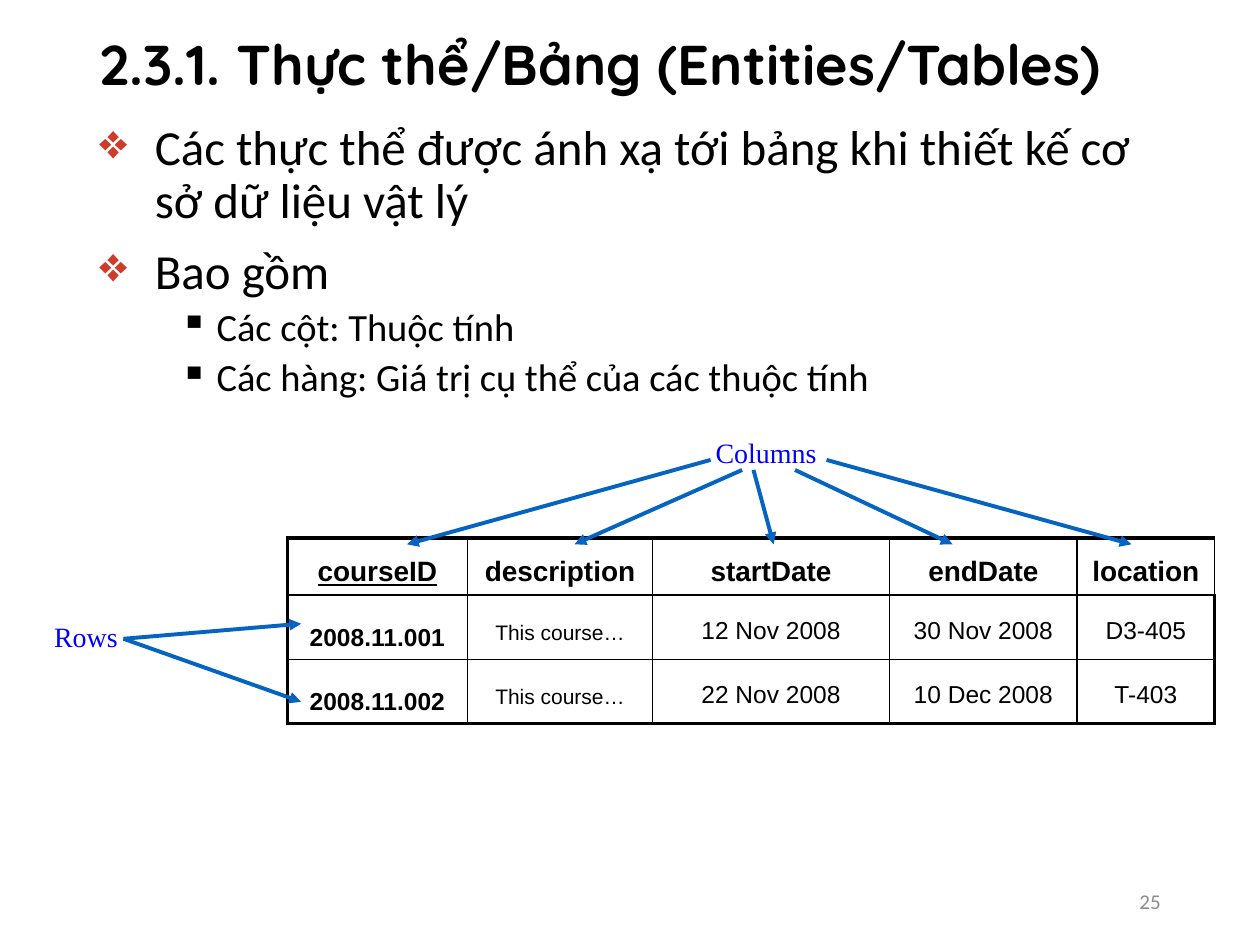
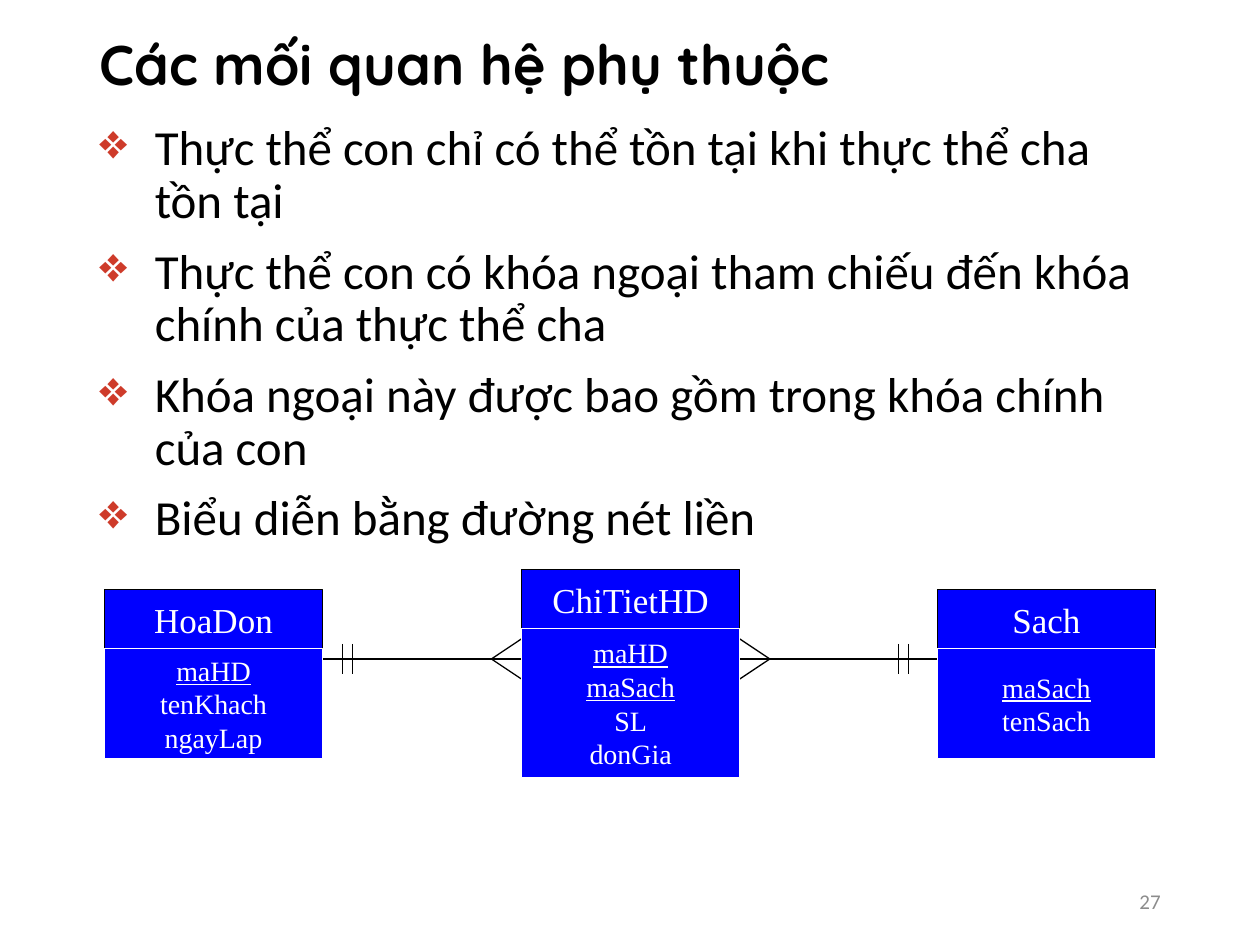
from dataclasses import dataclass, replace
from typing import NamedTuple, Optional, Sequence

from lxml.etree import SubElement
from pptx import Presentation
from pptx.dml.color import RGBColor
from pptx.enum.shapes import MSO_CONNECTOR, MSO_SHAPE
from pptx.enum.text import MSO_ANCHOR, PP_ALIGN
from pptx.oxml import parse_xml
from pptx.oxml.ns import nsdecls, qn
from pptx.util import Inches, Length, Pt

# The slide is a grid of 100 columns and 75 rows, each a tenth of an inch.
WIDTH, HEIGHT = Inches(10), Inches(7.5)
COLUMNS, ROWS = 100, 75

COLORS = {
    "text": "000000",
    "bullet": "CE3B2A",
    "page number": "8C8C8C",
    "label": "0000FF",
    "arrow": "0563C1",
    "entity": "0000FF",
    "entity text": "FFFFFF",
    "line": "000000",
}
THIN, THICK = 1, 2.25
ENTITY_LINE = 0.75


def across(columns: float) -> Length:
    return Length(round(WIDTH * columns / COLUMNS))


def down(rows: float) -> Length:
    return Length(round(HEIGHT * rows / ROWS))


class Area(NamedTuple):
    column: float
    row: float
    columns: float
    rows: float

    def lengths(self) -> tuple[Length, Length, Length, Length]:
        return across(self.column), down(self.row), across(self.columns), down(self.rows)


class Point(NamedTuple):
    column: float
    row: float


@dataclass(frozen=True)
class Bullet:
    symbol: str
    color: str
    margin: float
    hang: float


@dataclass(frozen=True)
class Style:
    font: str
    size: float
    color: str = "text"
    bold: bool = False
    underline: bool = False
    align: PP_ALIGN = PP_ALIGN.LEFT
    line_spacing: Optional[float | Length] = None
    space_before: float = 0
    bullet: Optional[Bullet] = None


class Line(NamedTuple):
    text: str
    style: Style


@dataclass(frozen=True)
class Entity:
    name: str
    column: float
    row: float
    body_rows: float
    keys: Sequence[str]
    attributes: Sequence[str]

    @property
    def right(self) -> float:
        return self.column + ENTITY_COLUMNS


@dataclass(frozen=True)
class Relationship:
    parent_edge: float
    child_edge: float
    bars: Sequence[float]


TITLE = Style("Quicksand", 32, bold=True, line_spacing=0.9)
POINT = Style("Calibri", 28, line_spacing=0.9, space_before=10,
              bullet=Bullet("❖", "bullet", 4.4, 4.4))
SUBPOINT = replace(POINT, size=22, space_before=5, bullet=Bullet("▪", "text", 9.3, 2.9))
PAGE_NUMBER = Style("Calibri", 12, "page number", align=PP_ALIGN.RIGHT)
LABEL = Style("Times New Roman", 16, "label")
CELL = Style("Arial", 14, align=PP_ALIGN.CENTER, line_spacing=Pt(24))
HEADER = replace(CELL, size=16, bold=True)
KEY_CELL = replace(CELL, bold=True, line_spacing=Pt(28))
NOTE_CELL = replace(CELL, size=12)
ATTRIBUTE = Style("Times New Roman", 16, "entity text", align=PP_ALIGN.CENTER)
ENTITY_NAME = replace(ATTRIBUTE, size=20)

TITLE_AREA = Area(6.9, 1.3, 86.2, 8.1)
BODY_AREA = Area(6.9, 9.3, 86.2, 56.6)
NUMBER_AREA = Area(70.6, 69.5, 22.5, 4)

COURSE_TABLE = Point(22.8, 42.7)
COURSE_COLUMNS = (14.3, 14.7, 18.8, 14.9, 10.9)
COURSE_ROWS = (4.5, 5.1, 5.1)
COURSES = (
    ("courseID", "description", "startDate", "endDate", "location"),
    ("2008.11.001", "This course…", "12 Nov 2008", "30 Nov 2008", "D3-405"),
    ("2008.11.002", "This course…", "22 Nov 2008", "10 Dec 2008", "T-403"),
)
COLUMN_ARROWS = (
    (Point(65.6, 36.5), 89.8),
    (Point(63.1, 37.3), 75.6),
    (Point(59.8, 37.3), 61.4),
    (Point(58.9, 37.3), 45.6),
    (Point(56.4, 36.5), 32.3),
)
COLUMN_ARROW_END = 43.2
ROW_ARROW_START = Point(9.8, 50.7)
ROW_ARROW_ENDS = (Point(23.9, 49.5), Point(23.9, 55.7))

ENTITY_COLUMNS, ENTITY_NAME_ROWS = 17.3, 4.7
INVOICE = Entity("HoaDon", 8.3, 46.8, 8.7, ["maHD"], ["tenKhach", "ngayLap"])
DETAIL = Entity("ChiTietHD", 41.4, 45.2, 11.8, ["maHD", "maSach"], ["SL", "donGia"])
BOOK = Entity("Sach", 74.4, 46.8, 8.7, ["maSach"], ["tenSach"])
RELATIONSHIPS = (
    Relationship(INVOICE.right, DETAIL.column, bars=(1.6, 2.4)),
    Relationship(BOOK.column, DETAIL.right, bars=(2.3, 3.1)),
)
LINK_ROW = 52.3
FOOT_COLUMNS, FOOT_ROWS = 2.4, 1.6
BAR_ROWS = 1.2


def color(name: str) -> RGBColor:
    return RGBColor.from_string(COLORS[name])


def add_bullet(para, bullet: Bullet) -> None:
    properties = para._p.get_or_add_pPr()
    properties.set("marL", str(across(bullet.margin)))
    properties.set("indent", str(-across(bullet.hang)))
    tint = SubElement(properties, qn("a:buClr"))
    SubElement(tint, qn("a:srgbClr"), val=COLORS[bullet.color])
    SubElement(properties, qn("a:buChar"), char=bullet.symbol)


def write(frame, lines: Sequence[Line]) -> None:
    for index, (text, style) in enumerate(lines):
        para = frame.add_paragraph() if index else frame.paragraphs[0]
        para.text = text
        para.alignment = style.align
        if style.line_spacing:
            para.line_spacing = style.line_spacing
        if index:
            para.space_before = Pt(style.space_before)
        if style.bullet:
            add_bullet(para, style.bullet)
        font = para.font
        font.name, font.size = style.font, Pt(style.size)
        font.bold, font.underline = style.bold, style.underline
        font.color.rgb = color(style.color)


def add_text(page, area: Area, lines: Sequence[Line], anchor=MSO_ANCHOR.TOP) -> None:
    frame = page.shapes.add_textbox(*area.lengths()).text_frame
    frame.word_wrap = True
    frame.vertical_anchor = anchor
    write(frame, lines)


def add_label(page, area: Area, text: str) -> None:
    frame = page.shapes.add_textbox(*area.lengths()).text_frame
    frame.word_wrap = False
    frame.margin_left = frame.margin_right = across(1.2)
    frame.margin_top = frame.margin_bottom = down(0.6)
    write(frame, [Line(text, LABEL)])


def add_line(page, start: Point, end: Point, name="line", width=ENTITY_LINE, arrow=False) -> None:
    line = page.shapes.add_connector(
        MSO_CONNECTOR.STRAIGHT,
        across(start.column), down(start.row), across(end.column), down(end.row))
    line.line.color.rgb = color(name)
    line.line.width = Pt(width)
    if arrow:
        SubElement(line.line._get_or_add_ln(), qn("a:tailEnd"), type="triangle")
    SubElement(line._element.spPr, qn("a:effectLst"))


def add_page(deck, title: str, lines: Sequence[Line], number: int):
    """Add a slide with its title, bulleted body and page number."""
    page = deck.slides.add_slide(deck.slide_layouts[6])
    add_text(page, TITLE_AREA, [Line(title, TITLE)], MSO_ANCHOR.MIDDLE)
    add_text(page, BODY_AREA, lines)
    add_text(page, NUMBER_AREA, [Line(str(number), PAGE_NUMBER)], MSO_ANCHOR.MIDDLE)
    return page


def set_borders(cell, thick_sides: dict[str, bool]) -> None:
    properties = cell._tc.get_or_add_tcPr()
    for index, (side, thick) in enumerate(thick_sides.items()):
        width = Pt(THICK if thick else THIN)
        properties.insert(index, parse_xml(
            f'<a:ln{side} {nsdecls("a")} w="{width}"><a:solidFill>'
            f'<a:srgbClr val="{COLORS["line"]}"/></a:solidFill></a:ln{side}>'))


def cell_style(row: int, column: int) -> Style:
    if row == 0:
        return replace(HEADER, underline=column == 0)
    return {0: KEY_CELL, 1: NOTE_CELL}.get(column, CELL)


def add_course_table(page) -> None:
    area = Area(*COURSE_TABLE, sum(COURSE_COLUMNS), sum(COURSE_ROWS))
    table = page.shapes.add_table(
        len(COURSE_ROWS), len(COURSE_COLUMNS), *area.lengths()).table
    table.first_row = table.horz_banding = False
    for column, columns in zip(table.columns, COURSE_COLUMNS):
        column.width = across(columns)
    for row, rows in zip(table.rows, COURSE_ROWS):
        row.height = down(rows)
    last_row, last_column = len(COURSE_ROWS) - 1, len(COURSE_COLUMNS) - 1
    for row, course in enumerate(COURSES):
        for column, text in enumerate(course):
            cell = table.cell(row, column)
            cell.margin_left = cell.margin_right = across(1.2)
            cell.margin_top = cell.margin_bottom = down(0.6)
            cell.fill.background()
            write(cell.text_frame, [Line(text, cell_style(row, column))])
            set_borders(cell, {
                "L": column == 0,
                "R": column == last_column and row > 0,
                "T": row == 0,
                "B": row == last_row,
            })


def add_entity_box(page, area: Area, outline: str, lines: Sequence[Line]) -> None:
    box = page.shapes.add_shape(MSO_SHAPE.RECTANGLE, *area.lengths())
    box.shadow.inherit = False
    box.fill.solid()
    box.fill.fore_color.rgb = color("entity")
    box.line.color.rgb = color(outline)
    box.line.width = Pt(ENTITY_LINE)
    box.text_frame.vertical_anchor = MSO_ANCHOR.MIDDLE
    write(box.text_frame, lines)


def add_entity(page, entity: Entity) -> None:
    name_area = Area(entity.column, entity.row, ENTITY_COLUMNS, ENTITY_NAME_ROWS)
    body_area = name_area._replace(row=entity.row + ENTITY_NAME_ROWS, rows=entity.body_rows)
    keys = [Line(key, replace(ATTRIBUTE, underline=True)) for key in entity.keys]
    attributes = [Line(attribute, ATTRIBUTE) for attribute in entity.attributes]
    add_entity_box(page, name_area, "line", [Line(entity.name, ENTITY_NAME)])
    add_entity_box(page, body_area, "entity text", keys + attributes)


def add_relationship(page, link: Relationship) -> None:
    """Draw a solid line with two bars at the parent and a crow's foot at the child."""
    toward_child = 1 if link.child_edge > link.parent_edge else -1
    add_line(page, Point(link.parent_edge, LINK_ROW), Point(link.child_edge, LINK_ROW))
    for bar in link.bars:
        column = link.parent_edge + toward_child * bar
        add_line(page, Point(column, LINK_ROW - BAR_ROWS), Point(column, LINK_ROW + BAR_ROWS))
    heel = Point(link.child_edge - toward_child * FOOT_COLUMNS, LINK_ROW)
    for rise in (-FOOT_ROWS, FOOT_ROWS):
        add_line(page, heel, Point(link.child_edge, LINK_ROW + rise))


def add_tables_page(deck) -> None:
    page = add_page(deck, "2.3.1. Thực thể/Bảng (Entities/Tables)", [
        Line("Các thực thể được ánh xạ tới bảng khi thiết kế cơ sở dữ liệu vật lý", POINT),
        Line("Bao gồm", POINT),
        Line("Các cột: Thuộc tính", SUBPOINT),
        Line("Các hàng: Giá trị cụ thể của các thuộc tính", SUBPOINT),
    ], 25)
    add_course_table(page)
    add_label(page, Area(55.6, 34, 10.5, 3.9), "Columns")
    add_label(page, Area(3.1, 48.6, 7.5, 3.9), "Rows")
    arrows = [(start, Point(column, COLUMN_ARROW_END)) for start, column in COLUMN_ARROWS]
    arrows += [(ROW_ARROW_START, end) for end in ROW_ARROW_ENDS]
    for start, end in arrows:
        add_line(page, start, end, "arrow", THICK, arrow=True)


def add_dependency_page(deck) -> None:
    page = add_page(deck, "Các mối quan hệ phụ thuộc", [
        Line("Thực thể con chỉ có thể tồn tại khi thực thể cha tồn tại", POINT),
        Line("Thực thể con có khóa ngoại tham chiếu đến khóa chính của thực thể cha", POINT),
        Line("Khóa ngoại này được bao gồm trong khóa chính của con", POINT),
        Line("Biểu diễn bằng đường nét liền", POINT),
    ], 27)
    for link in RELATIONSHIPS:
        add_relationship(page, link)
    for entity in (INVOICE, DETAIL, BOOK):
        add_entity(page, entity)


def main() -> None:
    deck = Presentation()
    deck.slide_width, deck.slide_height = WIDTH, HEIGHT
    add_tables_page(deck)
    add_dependency_page(deck)
    deck.save("out.pptx")


if __name__ == "__main__":
    main()
